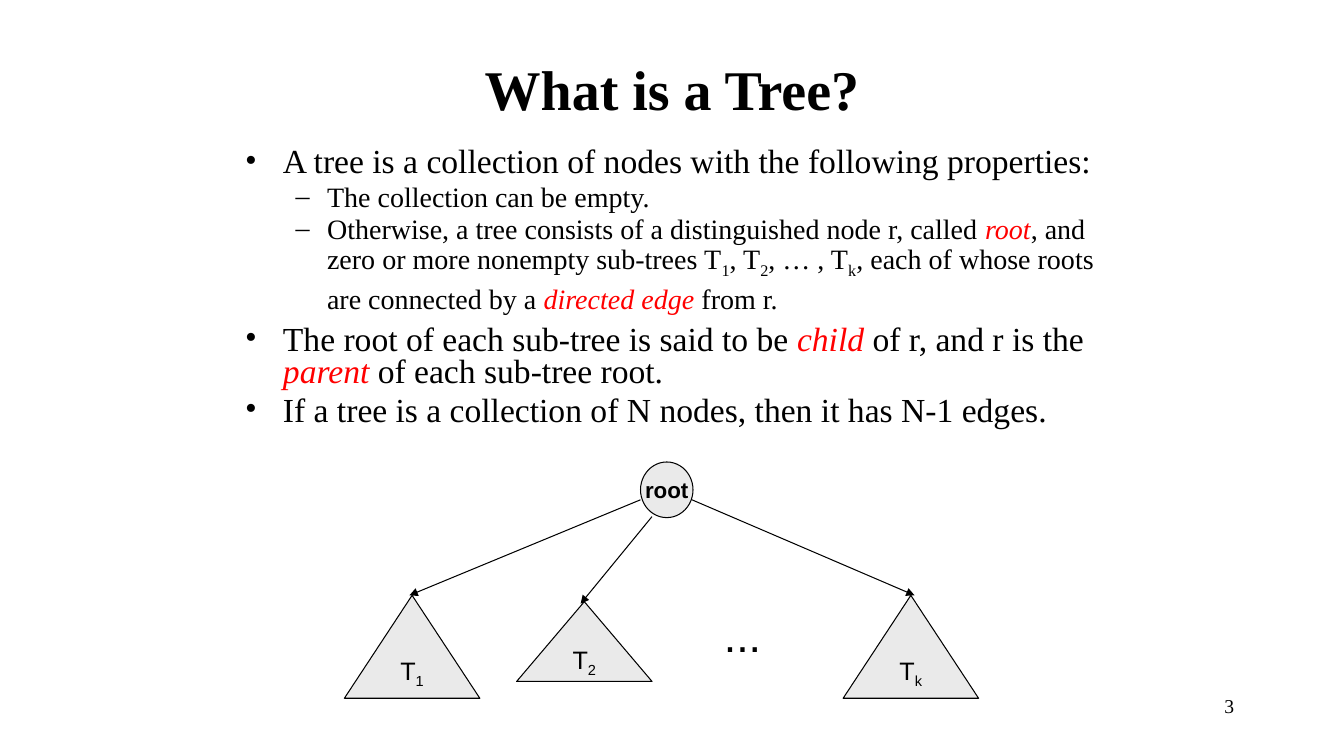
"""Build a slide that defines a tree, with a diagram of a root and its sub-trees."""
from lxml.etree import SubElement
from pptx import Presentation
from pptx.dml.color import RGBColor
from pptx.enum.shapes import MSO_CONNECTOR, MSO_SHAPE
from pptx.enum.text import MSO_ANCHOR, PP_ALIGN
from pptx.oxml.ns import qn
from pptx.util import Pt

PX = 9525
HUE = {"ink": "000000", "red": "FF0000", "fill": "EAEAEA"}
SERIF, SANS = "Times New Roman", "Arial"


def tint(name):
    return RGBColor.from_string(HUE[name])


def write(para, text, size, font=SERIF, bold=False, align=PP_ALIGN.LEFT):
    para.alignment = align
    for part in text.split("|"):
        mark = part[0] if part[0] in "*_^" else ""
        run = para.add_run()
        run.text = part[len(mark):]
        run.font.name = font
        run.font.size = Pt(32 if mark == "^" else size)
        run.font.bold = bold
        run.font.italic = mark == "*"
        run.font.color.rgb = tint("red" if mark == "*" else "ink")
        if mark == "_":
            run.font._element.set("baseline", "-25000")


deck = Presentation()
deck.slide_width, deck.slide_height = 1280 * PX, 720 * PX
slide = deck.slides.add_slide(deck.slide_layouts[5])
shapes = slide.shapes

title = shapes.title
title.left, title.top, title.width, title.height = [n * PX for n in (232, 48, 816, 72)]
title.text_frame.vertical_anchor = MSO_ANCHOR.MIDDLE
write(title.text_frame.paragraphs[0], "What is a Tree?", 40, bold=True, align=PP_ALIGN.CENTER)

number = shapes.add_textbox(918 * PX, 656 * PX, 267 * PX, 48 * PX)
write(number.text_frame.paragraphs[0], "3", 14, align=PP_ALIGN.RIGHT)

points = [
    (0, "A tree is a collection of nodes with the following properties:"),
    (1, "The collection can be empty."),
    (1, "Otherwise, a tree consists of a distinguished node r, called |*root|, and zero or more "
        "nonempty sub-trees T|_1|, T|_2|, … , T|_k|, each of whose roots are connected by a "
        "|*directed edge |from r.|^ "),
    (0, "The root of each sub-tree is said to be |*child| of r, and r is the "
        "|*parent |of each sub-tree root."),
    (0, "If a tree is a collection of N nodes, then it has N-1 edges."),
]
levels = [(24, 36, 36, "•"), (20, 78, 30, "–")]
body = shapes.add_textbox(224 * PX, 136 * PX, 840 * PX, 288 * PX).text_frame
body.word_wrap = True
for i, (level, text) in enumerate(points):
    size, left, hang, sign = levels[level]
    para = body.add_paragraph() if i else body.paragraphs[0]
    para.level = level
    props = para._p.get_or_add_pPr()
    props.set("marL", str(left * PX))
    props.set("indent", str(-hang * PX))
    SubElement(props, qn("a:buFont"), typeface=SERIF)
    SubElement(props, qn("a:buChar"), char=sign)
    para.line_spacing = 0.8
    para.space_before = Pt(size * 0.2 if i else 0)
    write(para, text, size)

nodes = [
    (MSO_SHAPE.OVAL, 610, 440, 50, 53, "root", 16, True),
    (MSO_SHAPE.ISOSCELES_TRIANGLE, 328, 567, 129, 98, "T|_1", 18, False),
    (MSO_SHAPE.ISOSCELES_TRIANGLE, 492, 573, 129, 76, "T|_2", 18, False),
    (MSO_SHAPE.ISOSCELES_TRIANGLE, 803, 567, 129, 98, "T|_k", 18, False),
]
for kind, x, y, w, h, text, size, bold in nodes:
    node = shapes.add_shape(kind, x * PX, y * PX, w * PX, h * PX)
    node.shadow.inherit = False
    node.fill.solid()
    node.fill.fore_color.rgb = tint("fill")
    node.line.color.rgb = tint("ink")
    node.line.width = Pt(0.75)
    node.text_frame.word_wrap = False
    node.text_frame.vertical_anchor = MSO_ANCHOR.MIDDLE
    write(node.text_frame.paragraphs[0], text, size, font=SANS, bold=bold, align=PP_ALIGN.CENTER)

for ends in [(610, 476, 390, 567), (621, 492, 553, 575), (659, 476, 871, 567)]:
    edge = shapes.add_connector(MSO_CONNECTOR.STRAIGHT, *[n * PX for n in ends])
    edge.line.color.rgb = tint("ink")
    edge.line.width = Pt(0.75)
    SubElement(edge.line._get_or_add_ln(), qn("a:tailEnd"), type="triangle")
    SubElement(edge._element.spPr, qn("a:effectLst"))

dots = shapes.add_textbox(680 * PX, 574 * PX, 55 * PX, 60 * PX)
dots.text_frame.word_wrap = False
write(dots.text_frame.paragraphs[0], "...", 32, font=SANS)

deck.save("out.pptx")
